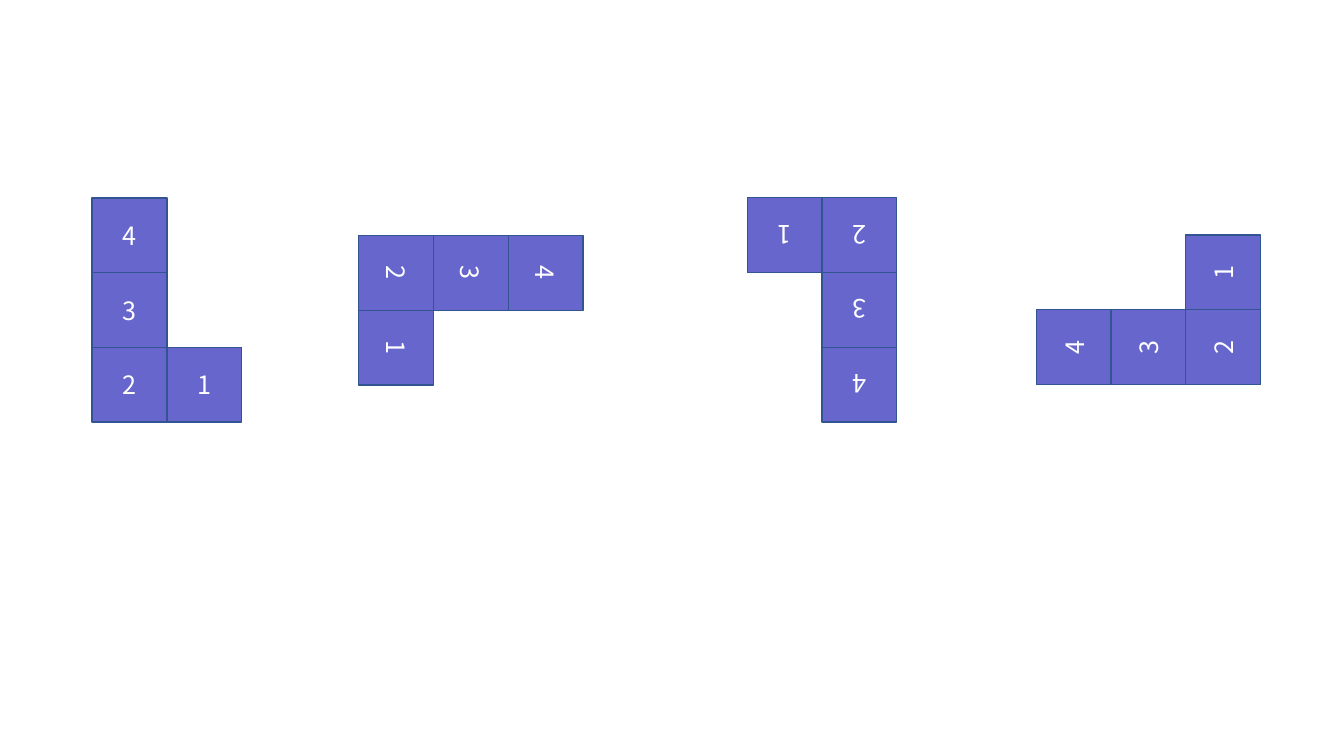
import pptx
import pptx.dml.color
import pptx.enum.shapes
import pptx.enum.text
import pptx.util

Cm = pptx.util.Cm
Pt = pptx.util.Pt
RGB = pptx.dml.color.RGBColor.from_string

# Content: label with its column and row offset from the corner square
SQUARES = [("4", 0, -2), ("3", 0, -1), ("1", 1, 0), ("2", 0, 0)]

# Left and top of each piece's corner square in cm; each piece is turned
# a further quarter clockwise
CORNERS = [(2.32, 8.75), (9.04, 5.93), (20.71, 4.98), (29.88, 7.8)]
SIDE = 1.89
STEP = 1.88

THEME = {
    "fill": RGB("6666CC"),
    "line": RGB("325491"),
    "line_width": Pt(1),
    "text": RGB("FFFFFF"),
    "font": {"name": "Noto Sans CJK SC", "size": Pt(18)},
}


def turn(column, row, quarters):
    """Rotate a grid offset clockwise by quarter turns."""
    for _ in range(quarters):
        column, row = -row, column
    return column, row


def style_text(box, label):
    frame = box.text_frame
    frame.vertical_anchor = pptx.enum.text.MSO_ANCHOR.MIDDLE
    para = frame.paragraphs[0]
    para.alignment = pptx.enum.text.PP_ALIGN.CENTER
    span = para.add_run()
    span.text = label
    span.font.color.rgb = THEME["text"]
    for key, value in THEME["font"].items():
        setattr(span.font, key, value)


def add_square(piece, label, left, top, quarters):
    box = piece.shapes.add_shape(
        pptx.enum.shapes.MSO_SHAPE.RECTANGLE,
        Cm(left), Cm(top), Cm(SIDE), Cm(SIDE))
    box.rotation = 90 * quarters
    box.shadow.inherit = False
    box.fill.solid()
    box.fill.fore_color.rgb = THEME["fill"]
    box.line.color.rgb = THEME["line"]
    box.line.width = THEME["line_width"]
    style_text(box, label)


# Deck with one blank page
deck = pptx.Presentation()
deck.slide_width, deck.slide_height = Cm(33.87), Cm(19.05)
page = deck.slides.add_slide(deck.slide_layouts[6])

# The L piece in its four rotations, one group each
for quarters, (corner_left, corner_top) in enumerate(CORNERS):
    piece = page.shapes.add_group_shape()
    for label, column, row in SQUARES:
        across, down = turn(column, row, quarters)
        add_square(piece, label, corner_left + across * STEP,
                   corner_top + down * STEP, quarters)

deck.save("out.pptx")
